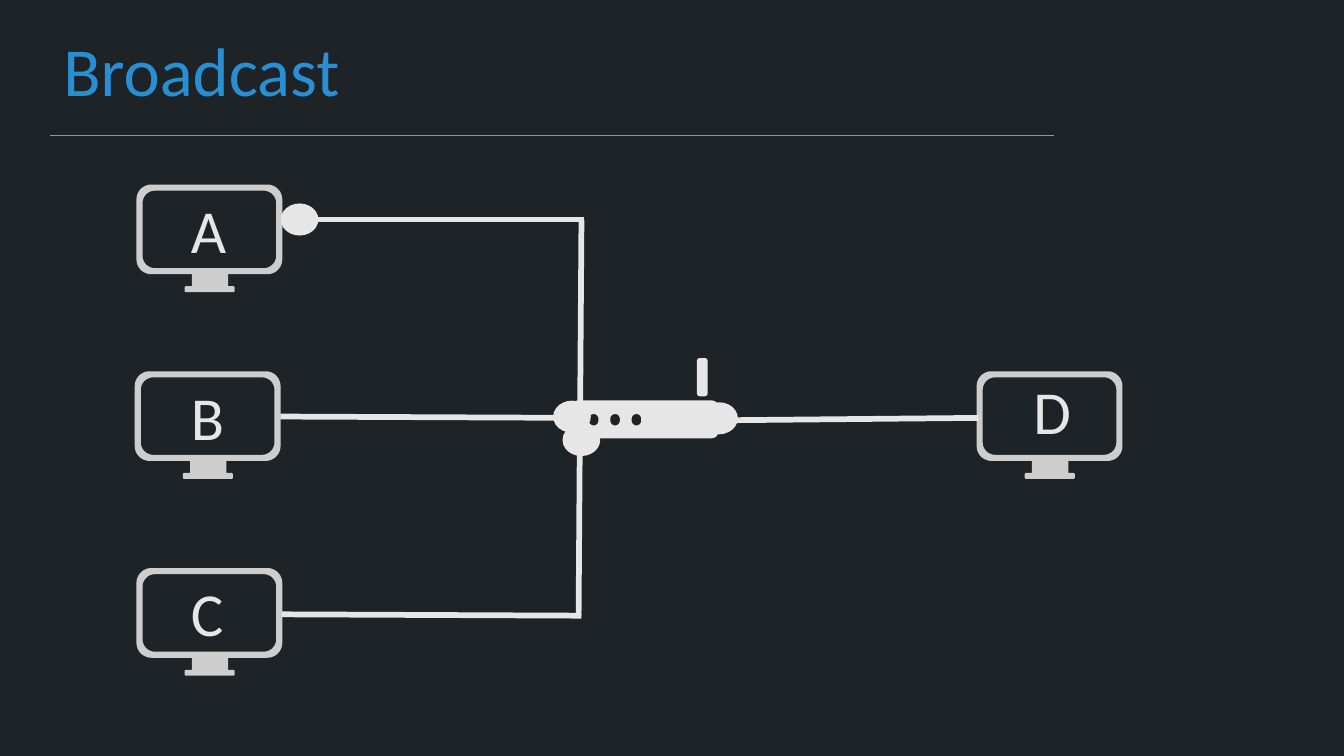
"""Build the Broadcast slide: four computers joined by a router."""
from math import cos, radians, sin

from lxml.etree import SubElement
from pptx import Presentation
from pptx.dml.color import RGBColor
from pptx.enum.shapes import MSO_CONNECTOR, MSO_SHAPE
from pptx.enum.text import MSO_ANCHOR, MSO_AUTO_SIZE, PP_ALIGN
from pptx.oxml.ns import qn
from pptx.util import Pt

COLORS = {
    "background": "1E2328",
    "title": "288FD3",
    "rule": "43C09A",
    "computer": "CDCDCD",
    "network": "E6E6E6",
}


def rounded(left, top, width, height, radius):
    """Return rounded-rectangle points, clockwise from the bottom left."""
    right, bottom = left + width, top + height
    centers = [
        (left + radius, bottom - radius, 90),
        (left + radius, top + radius, 180),
        (right - radius, top + radius, 270),
        (right - radius, bottom - radius, 0),
    ]
    return [
        (x + radius * cos(radians(start + step)), y + radius * sin(radians(start + step)))
        for x, y, start in centers
        for step in range(0, 91, 10)
    ]


def paint(shape, color):
    """Give a shape one colour for fill and outline, without shadow."""
    shape.shadow.inherit = False
    shape.fill.solid()
    shape.fill.fore_color.rgb = RGBColor.from_string(COLORS[color])
    shape.line.color.rgb = RGBColor.from_string(COLORS[color])
    shape.line.width = Pt(1)


presentation = Presentation()
presentation.slide_width, presentation.slide_height = Pt(704), Pt(396)
slide = presentation.slides.add_slide(presentation.slide_layouts[5])
slide.background.fill.solid()
slide.background.fill.fore_color.rgb = RGBColor.from_string(COLORS["background"])

title = slide.shapes.title
title.left, title.top, title.width, title.height = Pt(26), Pt(10.8), Pt(556.6), Pt(51)
captions = [(title, "Broadcast", 36, "title")]

computers = [
    ("A", 72, 97.2, 92.9, 97.2),
    ("B", 71.1, 195, 92.9, 195),
    ("C", 72, 298.1, 92.9, 298.1),
    ("D", 512.1, 195, 534.2, 192.2),
]
outlines = []
for letter, left, top, label_left, label_top in computers:
    stand = [(47, 46), (47, 53.3), (50.4, 53.3), (50.4, 55.4),
             (25.2, 55.4), (25.2, 53.3), (29, 53.3), (29, 46)]
    casing = rounded(left, top, 75.4, 46, 7.3) + [(left + x, top + y) for x, y in stand]
    screen = rounded(left + 2.2, top + 2.2, 71, 41.6, 7)
    outlines.append(([casing, screen], "computer"))

router_body = rounded(299.8, 210.3, 76, 18.8, 3)
antenna = rounded(365.6, 188.1, 4.6, 19, 1)
lights = [rounded(x, 216.4, 6, 7, 3) for x in (308, 319.2, 330.4)]
outlines.append(([router_body, antenna, *lights], "network"))

for contours, color in outlines:
    points = [[(Pt(x), Pt(y)) for x, y in contour] for contour in contours]
    builder = slide.shapes.build_freeform(*points[0][0], scale=1.0)
    builder.add_line_segments(points[0][1:], close=True)
    for contour in points[1:]:
        builder.move_to(*contour[0])
        builder.add_line_segments(contour[1:], close=True)
    paint(builder.convert_to_shape(), color)

lines = [
    (552.2, 71.2, 26, 71.2, "rule", 0.5),
    (365, 220.3, 512.6, 218.9, "network", 3),
    (147.6, 321.8, 304.6, 322.5, "network", 3),
    (147.6, 115, 306, 115, "network", 3),
    (303.1, 322.5, 303.8, 219.6, "network", 3),
    (303.8, 229, 304.6, 115, "network", 3),
    (146.9, 218.2, 303.8, 218.9, "network", 3),
]
for x1, y1, x2, y2, color, weight in lines:
    line = slide.shapes.add_connector(MSO_CONNECTOR.STRAIGHT, Pt(x1), Pt(y1), Pt(x2), Pt(y2))
    line.line.color.rgb = RGBColor.from_string(COLORS[color])
    line.line.width = Pt(weight)
    SubElement(line.element.spPr, qn("a:effectLst"))

for left, top in [(147.6, 107.1), (290.3, 210.4), (295.2, 222.6), (367.3, 211.2)]:
    plug = slide.shapes.add_shape(MSO_SHAPE.OVAL, Pt(left), Pt(top), Pt(18.7), Pt(15.8))
    paint(plug, "network")

for letter, left, top, label_left, label_top in computers:
    label = slide.shapes.add_textbox(Pt(label_left), Pt(label_top), Pt(46.8), Pt(46))
    captions.append((label, letter, 32, "network"))

for caption, wording, size, color in captions:
    frame = caption.text_frame
    frame.word_wrap = True
    frame.auto_size = MSO_AUTO_SIZE.SHAPE_TO_FIT_TEXT
    frame.vertical_anchor = MSO_ANCHOR.TOP
    paragraph = frame.paragraphs[0]
    paragraph.alignment = PP_ALIGN.LEFT
    run = paragraph.add_run()
    run.text = wording
    run.font.name = "Calibri"
    run.font.size = Pt(size)
    run.font.color.rgb = RGBColor.from_string(COLORS[color])

presentation.save("out.pptx")
